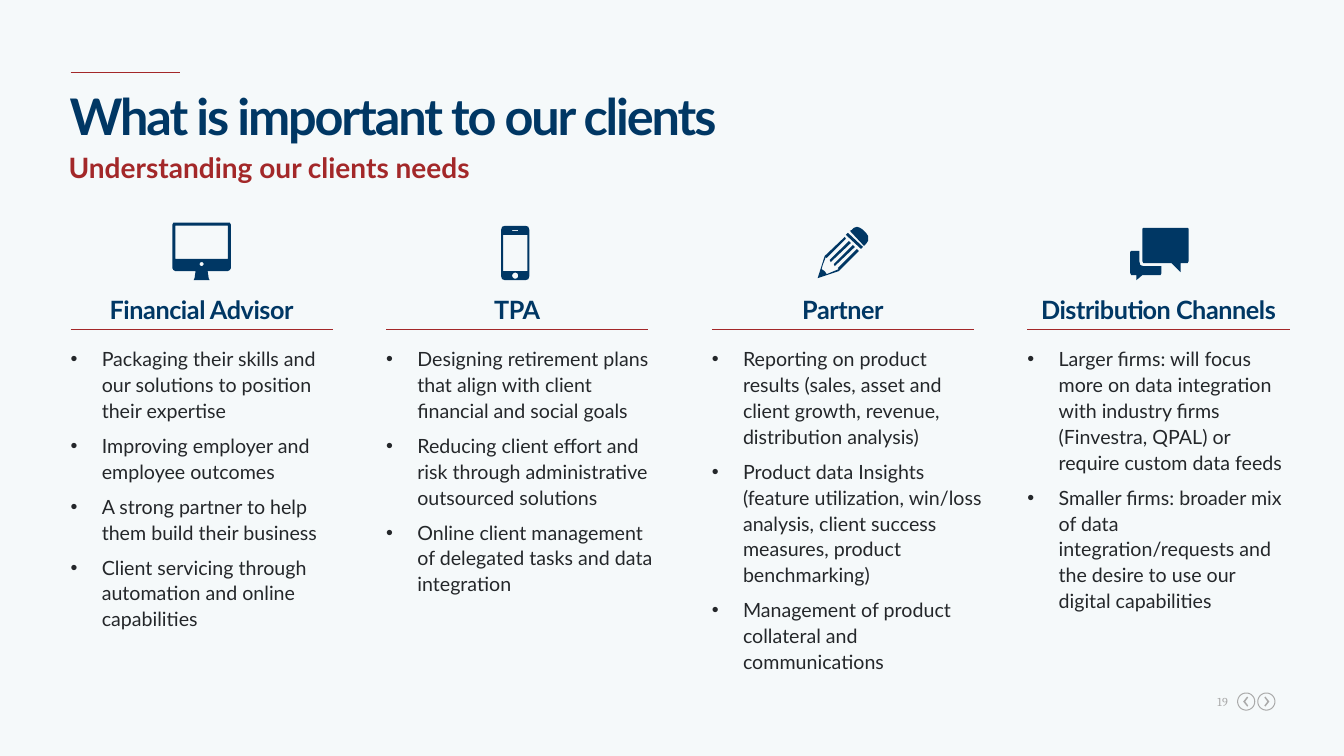
from math import cos, pi, sin

from lxml.etree import SubElement
from pptx import Presentation
from pptx.dml.color import RGBColor
from pptx.enum.shapes import MSO_CONNECTOR
from pptx.enum.text import PP_ALIGN
from pptx.oxml.ns import qn
from pptx.util import Pt

PX = 9144
COLUMN_WIDTH = 260
BODY_WIDTH = 270
RIGHT_EDGE = 1279
COLUMN_TOP = 221

BACKGROUND = RGBColor(0xF5, 0xF9, 0xFA)
NAVY = RGBColor(0x00, 0x37, 0x64)
RED = RGBColor(0xA3, 0x28, 0x29)
INK = RGBColor(0x24, 0x27, 0x2A)
GRAY = RGBColor(0xAA, 0xAA, 0xAA)


def circle(center_x, center_y, radius):
    """Return the points of a circle."""
    angles = [2 * pi * step / 32 for step in range(32)]
    return [(center_x + radius * cos(a), center_y + radius * sin(a)) for a in angles]


def rectangle(left, top, right, bottom):
    """Return the corners of a rectangle."""
    return [(left, top), (right, top), (right, bottom), (left, bottom)]


MONITOR = [
    [(101, 2), (102, 0), (158, 0), (159, 2), (159, 45), (158, 47), (156, 48),
     (136, 48), (137, 55), (138, 57), (122, 57), (123, 55), (124, 48),
     (104, 48), (102, 47), (101, 45)],
    rectangle(104, 3, 156, 36),
    circle(130, 41, 2),
]
PHONE = [
    [(114, 7), (115, 4), (118, 3), (138, 3), (141, 4), (142, 7), (142, 53),
     (141, 56), (138, 57), (118, 57), (115, 56), (114, 53)],
    rectangle(116, 12, 140, 48),
    circle(128, 52.5, 3),
    rectangle(125, 7, 131, 8),
]
PENCIL = [
    [(105, 55), (112, 33), (132, 14), (133, 16), (114, 35), (113, 34),
     (112, 37), (110, 42), (109, 46), (112, 48), (114, 51), (126, 46),
     (125, 45), (144, 26), (146, 28), (126, 48)],
    [(117, 37), (136, 18), (138, 20), (118, 39)],
    [(121, 41), (140, 22), (142, 24), (122, 43)],
    [(133, 12), (135, 10), (150, 24), (148, 26)],
    [(137, 8), (139, 7), (141, 5), (144, 4), (147, 5), (150, 7), (153, 10),
     (155, 13), (155, 16), (155, 18), (153, 21), (151, 23)],
]
SPEECH_BUBBLES = [
    [(102, 29), (103, 28), (111, 28), (111, 38), (112, 42), (115, 43),
     (133, 43), (133, 50), (132, 52), (114, 52), (108, 57), (108, 52),
     (103, 52), (102, 50)],
    [(114, 6), (115, 5), (159, 5), (160, 6), (160, 38), (159, 40), (152, 40),
     (152, 49), (143, 40), (115, 40), (114, 38)],
]

COLUMNS = [
    (70, "Financial Advisor", MONITOR, [
        "Packaging their skills and our solutions to position their expertise",
        "Improving employer and employee outcomes",
        "A strong partner to help them build their business",
        "Client servicing through automation and online capabilities",
    ]),
    (383, "TPA", PHONE, [
        "Designing retirement plans that align with client financial and social goals",
        "Reducing client effort and risk through administrative outsourced solutions",
        "Online client management of delegated tasks and data integration",
    ]),
    (706, "Partner", PENCIL, [
        "Reporting on product results (sales, asset and client growth, revenue, "
        "distribution analysis)",
        "Product data Insights (feature utilization, win/loss analysis, client "
        "success measures, product benchmarking)",
        "Management of product collateral and communications",
    ]),
    (1019, "Distribution Channels", SPEECH_BUBBLES, [
        "Larger firms: will focus more on data integration with industry firms "
        "(Finvestra, QPAL) or require custom data feeds",
        "Smaller firms: broader mix of data integration/requests and the desire "
        "to use our digital capabilities",
    ]),
]


def add_text(slide, box, lines, size, color, bold=False, font="Lato", spacing=0,
             bulleted=False):
    """Add a text box without insets and return its paragraphs."""
    text_frame = slide.shapes.add_textbox(*[length * PX for length in box]).text_frame
    text_frame.word_wrap = True
    text_frame.margin_left = text_frame.margin_right = 0
    text_frame.margin_top = text_frame.margin_bottom = 0
    text_frame.text = "\n".join(lines)
    for paragraph in text_frame.paragraphs:
        if bulleted:
            add_bullet(paragraph)
        for run in paragraph.runs:
            run.font.name = font
            run.font.size = Pt(size)
            run.font.bold = bold
            run.font.color.rgb = color
            run.font._element.set("spc", str(round(spacing * 100)))
    return text_frame.paragraphs


def add_bullet(paragraph):
    """Give a paragraph a hanging round bullet."""
    properties = paragraph._p.get_or_add_pPr()
    properties.set("marL", str(31 * PX))
    properties.set("indent", str(-31 * PX))
    SubElement(properties, qn("a:buFont")).set("typeface", "Arial")
    SubElement(properties, qn("a:buChar")).set("char", "•")


def add_rule(slide, left, top, width, weight):
    """Draw a horizontal red rule."""
    rule = slide.shapes.add_connector(
        MSO_CONNECTOR.STRAIGHT, left * PX, top * PX, (left + width) * PX, top * PX)
    rule.line.color.rgb = RED
    rule.line.width = Pt(weight)
    SubElement(rule._element.spPr, qn("a:effectLst"))


def add_icon(slide, left, top, contours, color):
    """Draw contours as one filled outline, inner contours being holes."""
    scaled = [[(x * PX, y * PX) for x, y in contour] for contour in contours]
    builder = slide.shapes.build_freeform(*scaled[0][0])
    builder.add_line_segments(scaled[0][1:])
    for contour in scaled[1:]:
        builder.move_to(*contour[0])
        builder.add_line_segments(contour[1:])
    shape = builder.convert_to_shape(left * PX, top * PX)
    shape.shadow.inherit = False
    shape.fill.solid()
    shape.fill.fore_color.rgb = color
    shape.line.fill.background()


def add_header(slide, left, top):
    """Place the short rule, title and subtitle."""
    add_rule(slide, left, top, 109, 0.75)
    add_text(slide, (left - 1, top + 12, 1210, 57), ["What is important to our clients"],
             36, NAVY, bold=True, spacing=-1.5)
    subtitle, = add_text(slide, (left - 2, top + 81, 1211, 37),
                         ["Understanding our clients needs"], 20, RED, bold=True)
    subtitle.line_spacing = 0.9


def add_column(slide, left, top, heading, icon, points):
    """Place one client type: icon, heading, rule and bullets."""
    add_icon(slide, left, top, icon, NAVY)
    title, = add_text(slide, (left, top + 75, COLUMN_WIDTH, 25), [heading],
                      18, NAVY, bold=True, spacing=-0.3)
    title.alignment = PP_ALIGN.CENTER
    title.line_spacing = Pt(18.4)
    add_rule(slide, left, top + 106, COLUMN_WIDTH, 1)
    width = min(BODY_WIDTH, RIGHT_EDGE - left)
    for paragraph in add_text(slide, (left, top + 121, width, 328), points,
                              14, INK, bulleted=True):
        paragraph.line_spacing = 1.1
        paragraph.space_after = Pt(6.5)


def add_footer(slide, left, top):
    """Place the page number and the two navigation arrows."""
    number, = add_text(slide, (left, top, 25, 15), ["19"], 8.7, GRAY,
                       font="Cambria", spacing=0.3)
    number.alignment = PP_ALIGN.RIGHT
    chevron = [(-2, -4), (1, 0), (-2, 4), (-1, 5), (3, 0), (-1, -5)]
    for center, direction in ((43, -1), (63, 1)):
        arrow = [(x * direction, y) for x, y in chevron]
        add_icon(slide, left + center, top + 7,
                 [circle(0, 0, 9), circle(0, 0, 8), arrow], GRAY)


def main():
    """Build and save the slide."""
    presentation = Presentation()
    presentation.slide_width = 1333 * PX
    presentation.slide_height = 750 * PX
    slide = presentation.slides.add_slide(presentation.slide_layouts[6])
    slide.background.fill.solid()
    slide.background.fill.fore_color.rgb = BACKGROUND
    add_header(slide, 70, 72)
    for left, heading, icon, points in COLUMNS:
        add_column(slide, left, COLUMN_TOP, heading, icon, points)
    add_footer(slide, 1193, 689)
    presentation.save("out.pptx")


if __name__ == "__main__":
    main()
